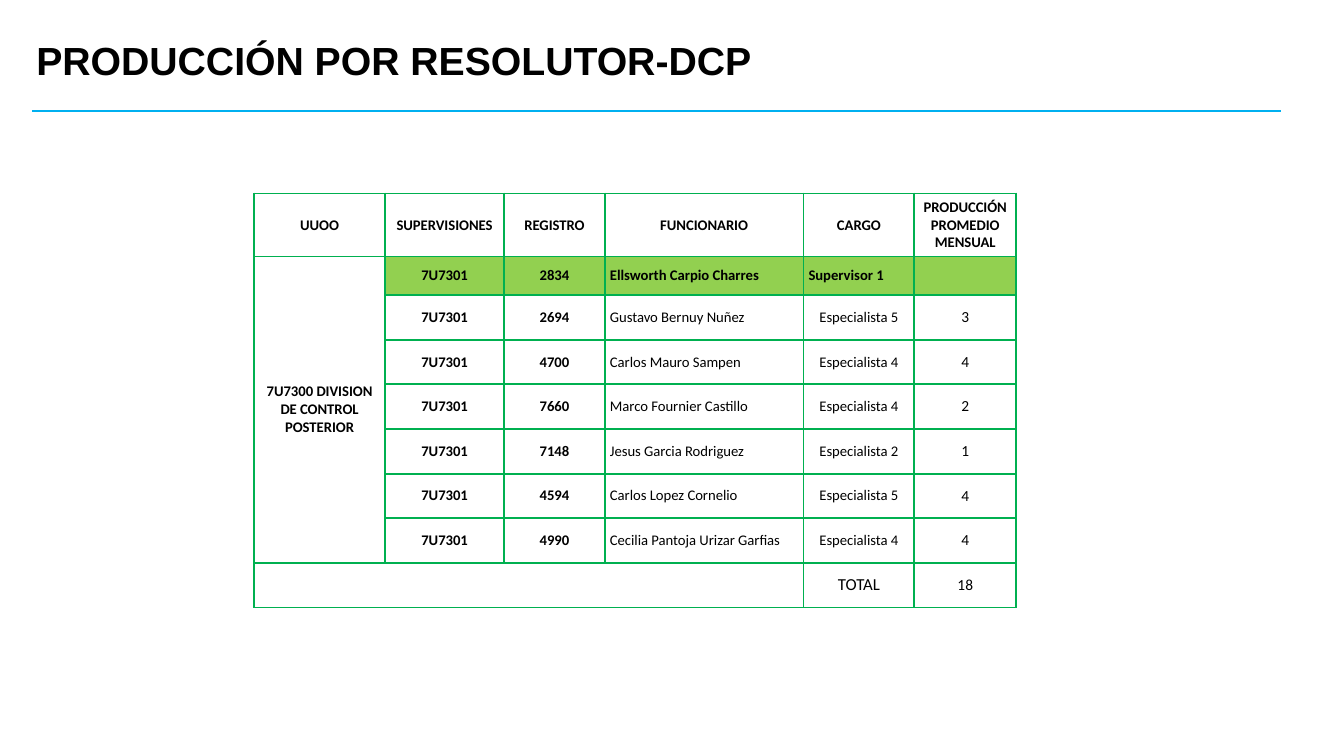
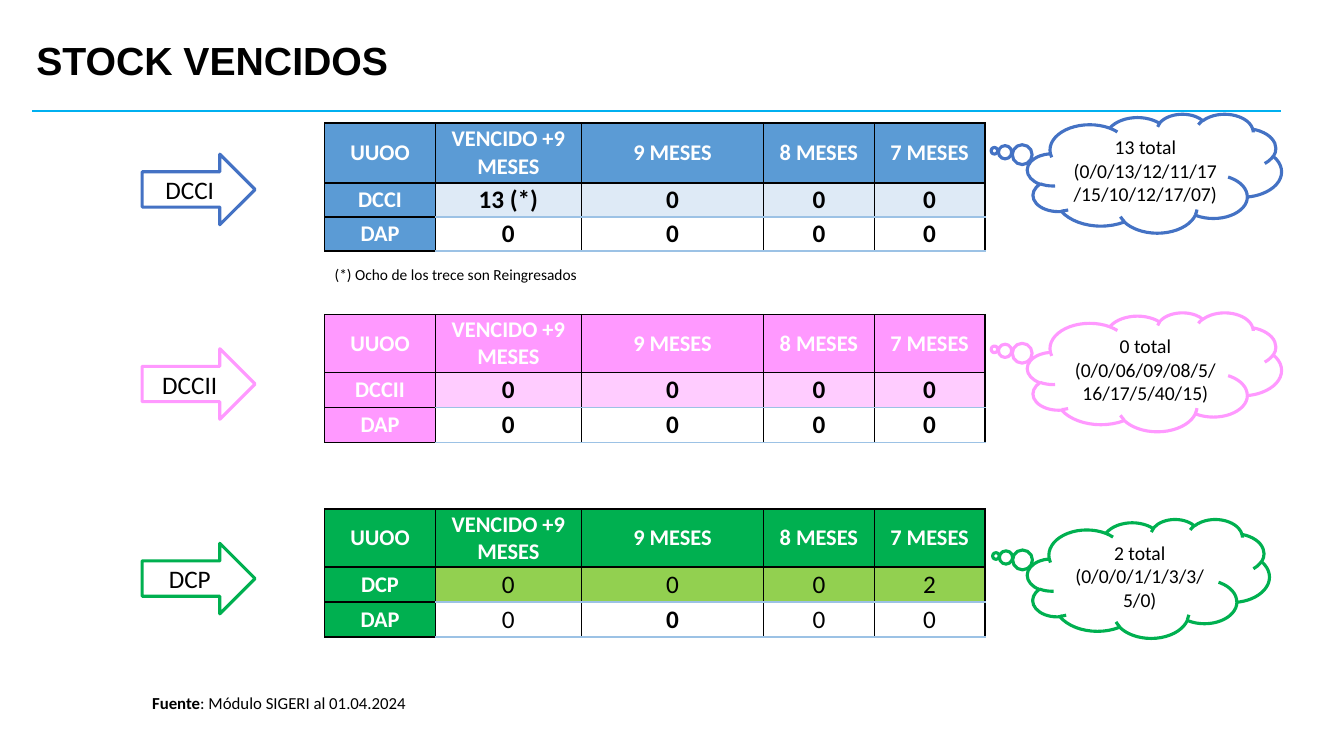
from lxml import etree
from pptx import Presentation
from pptx.dml.color import RGBColor
from pptx.enum.shapes import MSO_CONNECTOR, MSO_SHAPE
from pptx.enum.text import MSO_ANCHOR, MSO_AUTO_SIZE, PP_ALIGN
from pptx.oxml.ns import qn
from pptx.util import Inches, Pt

LEFT, CENTER = PP_ALIGN.LEFT, PP_ALIGN.CENTER
TOP, MIDDLE = MSO_ANCHOR.TOP, MSO_ANCHOR.MIDDLE
ARROW, CLOUD = MSO_SHAPE.RIGHT_ARROW, MSO_SHAPE.CLOUD_CALLOUT
STRAIGHT = MSO_CONNECTOR.STRAIGHT
TITLE_ONLY = 5

COLORS = {
    "black": "000000", "white": "FFFFFF", "rule": "00B0F0",
    "green": "00B050", "lime": "92D050", "navy": "4472C4",
    "blue": "5B9BD5", "ice": "DEEAF6", "pink": "FF99FF",
    "rose": "FFCCFF", "edge": "9CC2E5",
}

STAFF_HEAD = ("UUOO", "SUPERVISIONES", "REGISTRO", "FUNCIONARIO", "CARGO",
              "PRODUCCIÓN PROMEDIO MENSUAL")
STAFF = (
    ("2834", "Ellsworth Carpio Charres", "Supervisor 1", ""),
    ("2694", "Gustavo Bernuy Nuñez", "Especialista 5", "3"),
    ("4700", "Carlos Mauro Sampen", "Especialista 4", "4"),
    ("7660", "Marco Fournier Castillo", "Especialista 4", "2"),
    ("7148", "Jesus Garcia Rodriguez", "Especialista 2", "1"),
    ("4594", "Carlos Lopez Cornelio", "Especialista 5", "4"),
    ("4990", "Cecilia Pantoja Urizar Garfias", "Especialista 4", "4"),
)
STAFF_COLS = (1.3, 1.18, 1, 1.97, 1.1, 1.01)
STAFF_ROWS = (0.62, 0.38) + (0.44,) * 7

STOCK_HEAD = ("UUOO", "VENCIDO +9 MESES", "9 MESES", "8 MESES", "7 MESES")
STOCK_COLS = (1.1, 1.45, 1.81, 1.1, 1.1)
STOCKS = (
    {"name": "DCCI", "line": "navy", "head": "blue", "tint": "ice",
     "values": ("13 (*)", "0", "0", "0"), "bold": (True,) * 4,
     "note": "13 total (0/0/13/12/11/17/15/10/12/17/07)",
     "top": 1.22, "rows": (0.6, 0.34, 0.34),
     "cloud": (10.19, 1.13, 2.52, 1.18)},
    {"name": "DCCII", "line": "pink", "head": "pink", "tint": "rose",
     "values": ("0",) * 4, "bold": (True,) * 4,
     "note": "0 total (0/0/06/09/08/5/16/17/5/40/15)",
     "top": 3.12, "rows": (0.58, 0.35, 0.35),
     "cloud": (10.19, 3.1, 2.52, 1.18)},
    {"name": "DCP", "line": "green", "head": "green", "tint": "lime",
     "values": ("0", "0", "0", "2"), "bold": (False, True, False, False),
     "note": "2 total (0/0/0/1/1/3/3/5/0)",
     "top": 5.05, "rows": (0.58, 0.35, 0.35),
     "cloud": (10.19, 5.15, 2.4, 1.18)},
)


def rgb(name):
    return RGBColor.from_string(COLORS[name])


def inches(box):
    return [Inches(v) for v in box]


def write(frame, text, size=14, color="black", bold=False, font="Calibri",
          align=LEFT, anchor=MIDDLE, space=None):
    """Fill a frame with one paragraph; text may be a list of (text, bold)."""
    frame.word_wrap = True
    frame.vertical_anchor = anchor
    para = frame.paragraphs[0]
    para.alignment = align
    if space:
        para.line_spacing = space
    for part, heavy in [(text, bold)] if isinstance(text, str) else text:
        run = para.add_run()
        run.text = part
        run.font.size = Pt(size)
        run.font.name = font
        run.font.bold = heavy
        run.font.color.rgb = rgb(color)


def start(deck, text):
    """Add a slide with its title and the rule below it."""
    slide = deck.slides.add_slide(deck.slide_layouts[TITLE_ONLY])
    title = slide.shapes.title
    title.left, title.top, title.width, title.height = inches(
        (0.26, 0.27, 11.5, 0.7))
    title.text_frame.auto_size = MSO_AUTO_SIZE.NONE
    write(title.text_frame, text, size=28, bold=True, font="Arial", space=0.9)
    rule = slide.shapes.add_connector(
        STRAIGHT, *inches((0.32, 1.1, 12.71, 1.1)))
    rule.line.color.rgb = rgb("rule")
    rule.line.width = Pt(1.5)
    etree.SubElement(rule._element.spPr, qn("a:effectLst"))
    return slide


def label(slide, text, box, **form):
    frame = slide.shapes.add_textbox(*inches(box)).text_frame
    write(frame, text, anchor=TOP, **form)


def figure(slide, kind, text, box, line, size):
    shape = slide.shapes.add_shape(kind, *inches(box))
    shape.shadow.inherit = False
    shape.fill.solid()
    shape.fill.fore_color.rgb = rgb("white")
    shape.line.color.rgb = rgb(line)
    shape.line.width = Pt(2.25)
    write(shape.text_frame, text, size=size, align=CENTER)
    return shape


def grid(slide, box, cols, rows):
    """Add a plain table whose tracks share out the box."""
    table = slide.shapes.add_table(len(rows), len(cols), *inches(box)).table
    table.first_row = table.horz_banding = False
    for track, share in zip(table.columns, cols):
        track.width = Inches(box[2] * share / sum(cols))
    for track, share in zip(table.rows, rows):
        track.height = Inches(box[3] * share / sum(rows))
    return table


def border(cell, width, colors):
    """Draw the left, right, top and bottom edges in the given colours."""
    props = cell._tc.get_or_add_tcPr()
    for i, (side, color) in enumerate(zip("LRTB", colors)):
        edge = etree.Element(qn("a:ln" + side), w=str(Pt(width)))
        fill = etree.SubElement(edge, qn("a:solidFill"))
        etree.SubElement(fill, qn("a:srgbClr"), val=COLORS[color])
        props.insert(i, edge)


def fill(cell, text, back="white", width=1, edges=("black",) * 4,
         align=CENTER, **form):
    cell.margin_left = cell.margin_right = Inches(0.05)
    cell.margin_top = cell.margin_bottom = 0
    cell.vertical_anchor = MIDDLE
    cell.fill.solid()
    cell.fill.fore_color.rgb = rgb(back)
    border(cell, width, edges)
    if text:
        write(cell.text_frame, text, align=align, **form)


def staff(slide, box):
    table = grid(slide, box, STAFF_COLS, STAFF_ROWS)
    body = [("7U7301",) + person for person in STAFF]
    lines = [STAFF_HEAD]
    lines += [("" if i else "7U7300 DIVISION DE CONTROL POSTERIOR",) + line
              for i, line in enumerate(body)]
    total = sum(int(person[-1] or 0) for person in STAFF)
    lines.append(("", "", "", "", "TOTAL", str(total)))
    last = len(lines) - 1
    for r, line in enumerate(lines):
        for c, text in enumerate(line):
            size = 10.5
            if r > 1 and c == 5:
                size = 11
            elif r == last:
                size = 12
            named = c == 3 and r > 0 or c == 4 and r == 1
            fill(table.cell(r, c), text, size=size, bold=r < 2 or c < 3,
                 back="lime" if r == 1 and c else "white",
                 align=LEFT if named else CENTER,
                 width=1.5, edges=("green",) * 4)
    table.cell(1, 0).merge(table.cell(last - 1, 0))
    table.cell(last, 0).merge(table.cell(last, 3))


def stock(slide, item, box):
    table = grid(slide, box, STOCK_COLS, item["rows"])
    lines = (STOCK_HEAD, (item["name"],) + item["values"],
             ("DAP",) + ("0",) * 4)
    for r, line in enumerate(lines):
        for c, text in enumerate(line):
            cell = table.cell(r, c)
            if r == 0 or c == 0:
                fill(cell, text, back=item["head"], size=16, color="white",
                     bold=True)
                continue
            first = r == 1
            # Only the second row of figures keeps its own emphasis.
            bold = item["bold"][0 if first else c - 1]
            fill(cell, text, back=item["tint"] if first else "white",
                 size=18, bold=bold,
                 edges=("black", "black", "black" if first else "edge",
                        "edge"))


def band(slide, item, top):
    """Place the arrow, table and cloud of one division."""
    figure(slide, ARROW, item["name"], (1.41, top, 1.12, 0.7),
           item["line"], 18)
    stock(slide, item, (3.22, item["top"], 6.55, 1.27))
    cloud = figure(slide, CLOUD, item["note"], item["cloud"],
                   item["line"], 14)
    cloud.adjustments[0], cloud.adjustments[1] = -0.63, -0.19


def main():
    deck = Presentation()
    deck.slide_width, deck.slide_height = inches((13.33, 7.5))

    slide = start(deck, "PRODUCCIÓN POR RESOLUTOR-DCP")
    staff(slide, (2.52, 1.92, 7.56, 4.11))

    slide = start(deck, "STOCK VENCIDOS")
    for i, item in enumerate(STOCKS):
        band(slide, item, 1.53 + 1.93 * i)
    label(slide, "(*) Ocho de los trece son Reingresados",
          (3.22, 2.58, 6.39, 0.29), size=11)
    label(slide, [("Fuente", True), (": Módulo SIGERI al 01.04.2024", False)],
          (1.41, 6.82, 3.42, 0.3), size=12)

    deck.save("out.pptx")


if __name__ == "__main__":
    main()
